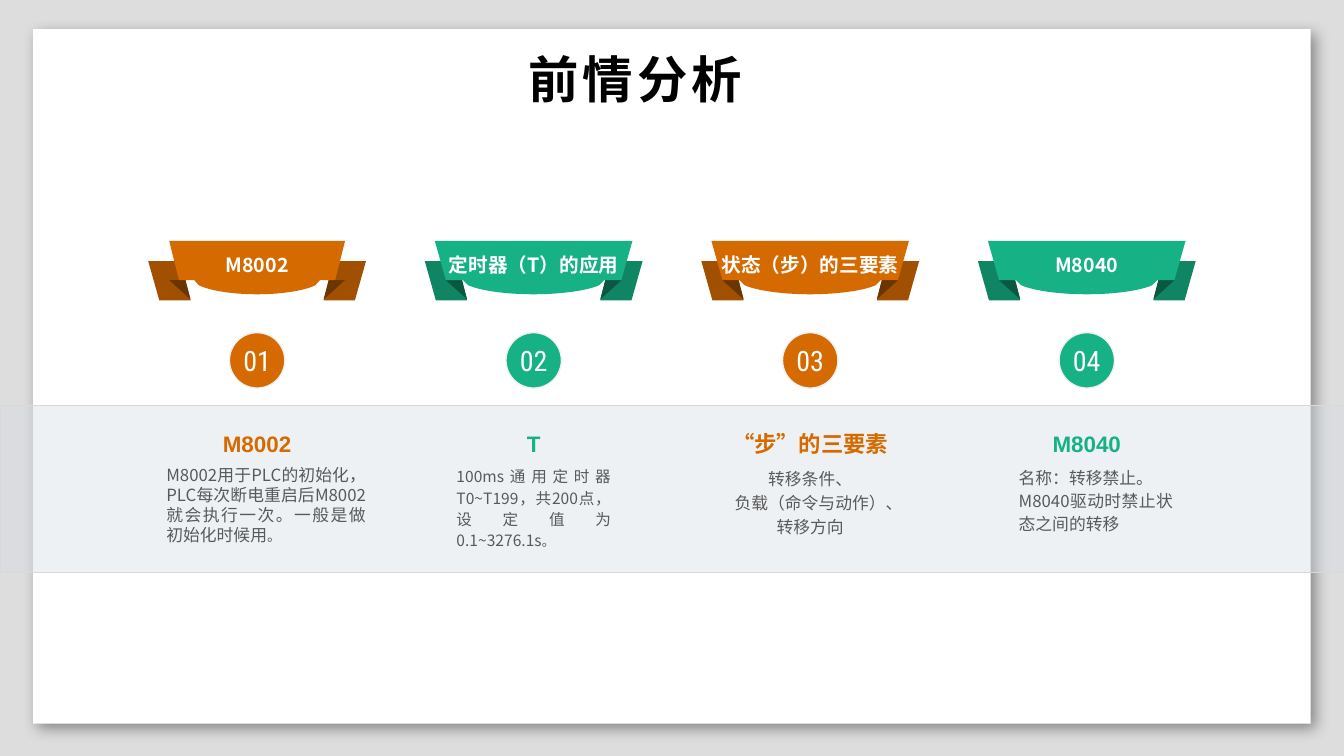
from lxml.etree import SubElement
from pptx import Presentation
from pptx.dml.color import RGBColor
from pptx.enum.lang import MSO_LANGUAGE_ID as Language
from pptx.enum.shapes import MSO_SHAPE as Shape
from pptx.enum.text import MSO_ANCHOR as Anchor, PP_ALIGN as Align
from pptx.oxml.ns import qn
from pptx.util import Inches, Pt

WIDTH, HEIGHT = 13.33, 7.5
COLORS = {"back": "DDDDDD", "white": "FFFFFF", "black": "000000", "band": "D6DCE5",
          "edge": "D9D9D9", "rim": "F0F0F0", "text": "595959"}
THEMES = [
    {"main": "D56A00", "tail": "A05000", "fold": "6A3500"},
    {"main": "16B185", "tail": "108564", "fold": "0B5842"},
]
CJK = "Noto Sans CJK SC"
TITLE = "前情分析"
TOPICS = [
    {"ribbon": "M8002", "heading": "M8002", "size": 12, "spacing": 1, "align": Align.JUSTIFY,
     "body": ["M8002用于PLC的初始化，PLC每次断电重启后M8002就会执行一次。一般是做初始化时候用"],
     "stop": 10, "front": 0.89, "width": 1.98, "shift": 0.09},
    {"ribbon": "定时器（T）的应用", "heading": "T", "size": 11.1, "spacing": 1.14,
     "align": Align.JUSTIFY,
     "body": ["100ms通用定时器T0~T199，共200点，设定值为0.1~3276.1s"], "stop": 9.2},
    {"ribbon": "状态（步）的三要素", "heading": "“步”的三要素", "size": 12, "spacing": 1.2,
     "align": Align.CENTER, "body": ["转移条件、", "负载（命令与动作）、转移方向"]},
    {"ribbon": "M8040", "heading": "M8040", "size": 12, "spacing": 1.14, "shift": 0.09,
     "align": Align.JUSTIFY, "body": ["名称：转移禁止。", "M8040驱动时禁止状态之间的转移"]},
]
FIRST_CENTER, PITCH = 2.55, 2.743
COLUMN, HEADING, DISC = 1.53, 1.64, 0.55
TAIL = [(0.66, 2.98), (0.97, 2.98), (1.08, 2.59), (0.76, 2.59)]
FOLD = [(0.71, 2.78), (0.66, 2.97), (0.87, 2.78)]
FRONT = [(0.98, 2.39), (0.87, 2.78), (0.7, 2.78)]
CURVE = [(0.65, 2.83), (0.54, 2.88), (0.29, 2.92), (0, 2.92)]
CURVE_STEPS = 12


def rgb(color):
    return RGBColor.from_string(color)


def paint(shape, fill, line=None, weight=1):
    shape.shadow.inherit = False
    shape.fill.solid()
    shape.fill.fore_color.rgb = rgb(fill)
    if line:
        shape.line.color.rgb = rgb(line)
        shape.line.width = Pt(weight)
    else:
        shape.line.fill.background()


def style(span, size, color, font, bold):
    span.font.size, span.font.bold, span.font.name = Pt(size), bold, font
    span.font.color.rgb = rgb(color)
    span.font.language_id = Language.SIMPLIFIED_CHINESE
    east = "Noto Sans CJK JP" if font == "Noto Sans CJK JP" else CJK
    SubElement(span.font._element, qn("a:ea"), typeface=east)


def write(shape, lines, size, color, font=CJK, bold=False, align=Align.CENTER,
          anchor=Anchor.TOP, margins=(0, 0, 0, 0), wrap=False, spacing=None):
    frame = shape.text_frame
    frame.text = "\n".join(lines)
    frame.word_wrap, frame.vertical_anchor = wrap, anchor
    (frame.margin_left, frame.margin_top,
     frame.margin_right, frame.margin_bottom) = map(Inches, margins)
    for para in frame.paragraphs:
        para.alignment, para.line_spacing = align, spacing
        for span in para.runs:
            style(span, size, color, font, bold)
    return frame.paragraphs[-1]


def textbox(shapes, *area):
    return shapes.add_textbox(*map(Inches, area))


def polygon(shapes, center, points, fill, stretch=1):
    corners = [(Inches(center + x * stretch), Inches(y)) for x, y in points]
    builder = shapes.build_freeform(*corners[0], scale=1.0)
    builder.add_line_segments(corners[1:], close=True)
    shape = builder.convert_to_shape()
    paint(shape, fill)
    return shape


def bezier(points, t):
    weights = [(1 - t) ** 3, 3 * t * (1 - t) ** 2, 3 * t * t * (1 - t), t ** 3]
    return tuple(sum(w * p[axis] for w, p in zip(weights, points)) for axis in (0, 1))


def add_topic(page, index, topic):
    theme = THEMES[index % len(THEMES)]
    center = FIRST_CENTER + index * PITCH
    shapes = page.shapes.add_group_shape().shapes

    disc = shapes.add_shape(Shape.OVAL, *map(Inches, (center - DISC / 2, 3.3, DISC, DISC)))
    paint(disc, theme["main"], COLORS["rim"])
    write(disc, [f"{index + 1:02d}"], 20, COLORS["white"], "Roboto Condensed",
          anchor=Anchor.MIDDLE)

    for side in (1, -1):
        polygon(shapes, center, TAIL, theme["tail"], side)
        polygon(shapes, center, FOLD, theme["fold"], side)
    half = FRONT + [bezier(CURVE, step / CURVE_STEPS) for step in range(CURVE_STEPS + 1)]
    outline = half + [(-x, y) for x, y in half[-2::-1]]
    front = polygon(shapes, center, outline, theme["main"], topic.get("front", 1))
    write(front, [topic["ribbon"]], 14, COLORS["white"], bold=True,
          margins=(0.1, 0.12, 0.1, 0.05))

    heading = textbox(shapes, center - HEADING / 2, 4.06, HEADING, 0.47)
    write(heading, [topic["heading"]], 16, theme["main"], "Arial", True, anchor=Anchor.BOTTOM)
    width = topic.get("width", COLUMN)
    body = textbox(shapes, center + topic.get("shift", 0) - width / 2, 4.53, width, 0.89)
    last = write(body, topic["body"], topic["size"], COLORS["text"], align=topic["align"],
                 margins=(0, 0.08, 0, 0), wrap=True, spacing=topic["spacing"])
    if "stop" in topic:
        stop = last.add_run()
        stop.text = "。"
        style(stop, topic["stop"], COLORS["text"], CJK, False)


def add_backdrop(page):
    page.background.fill.solid()
    page.background.fill.fore_color.rgb = rgb(COLORS["back"])
    panel = page.shapes.add_shape(Shape.RECTANGLE, *map(Inches, (0.33, 0.29, 12.67, 6.89)))
    paint(panel, COLORS["white"])
    effects = panel._element.spPr.find(qn("a:effectLst"))
    shadow = SubElement(effects, qn("a:outerShdw"), blurRad=str(Pt(10)), dist=str(Pt(5)),
                        dir="2700000", algn="tl", rotWithShape="0")
    tint = SubElement(shadow, qn("a:srgbClr"), val=COLORS["black"])
    SubElement(tint, qn("a:alpha"), val="40000")

    title = textbox(page.shapes, 5.14, 0.43, 2.4, 0.71)
    para = write(title, [TITLE], 36, COLORS["black"], "Noto Sans CJK JP", True, Align.LEFT,
                 margins=(0.1, 0.05, 0.1, 0.05))
    para.runs[0].font._element.set("spc", "300")

    band = page.shapes.add_shape(Shape.RECTANGLE, *map(Inches, (0, 4.02, WIDTH, 1.66)))
    paint(band, COLORS["band"], COLORS["edge"], 0.25)
    tint = band._element.spPr.find(qn("a:solidFill"))[0]
    SubElement(tint, qn("a:alpha"), val="40000")


def main():
    deck = Presentation()
    deck.slide_width, deck.slide_height = Inches(WIDTH), Inches(HEIGHT)
    page = deck.slides.add_slide(deck.slide_layouts[6])
    add_backdrop(page)
    for index, topic in enumerate(TOPICS):
        add_topic(page, index, topic)
    deck.save("out.pptx")


if __name__ == "__main__":
    main()
